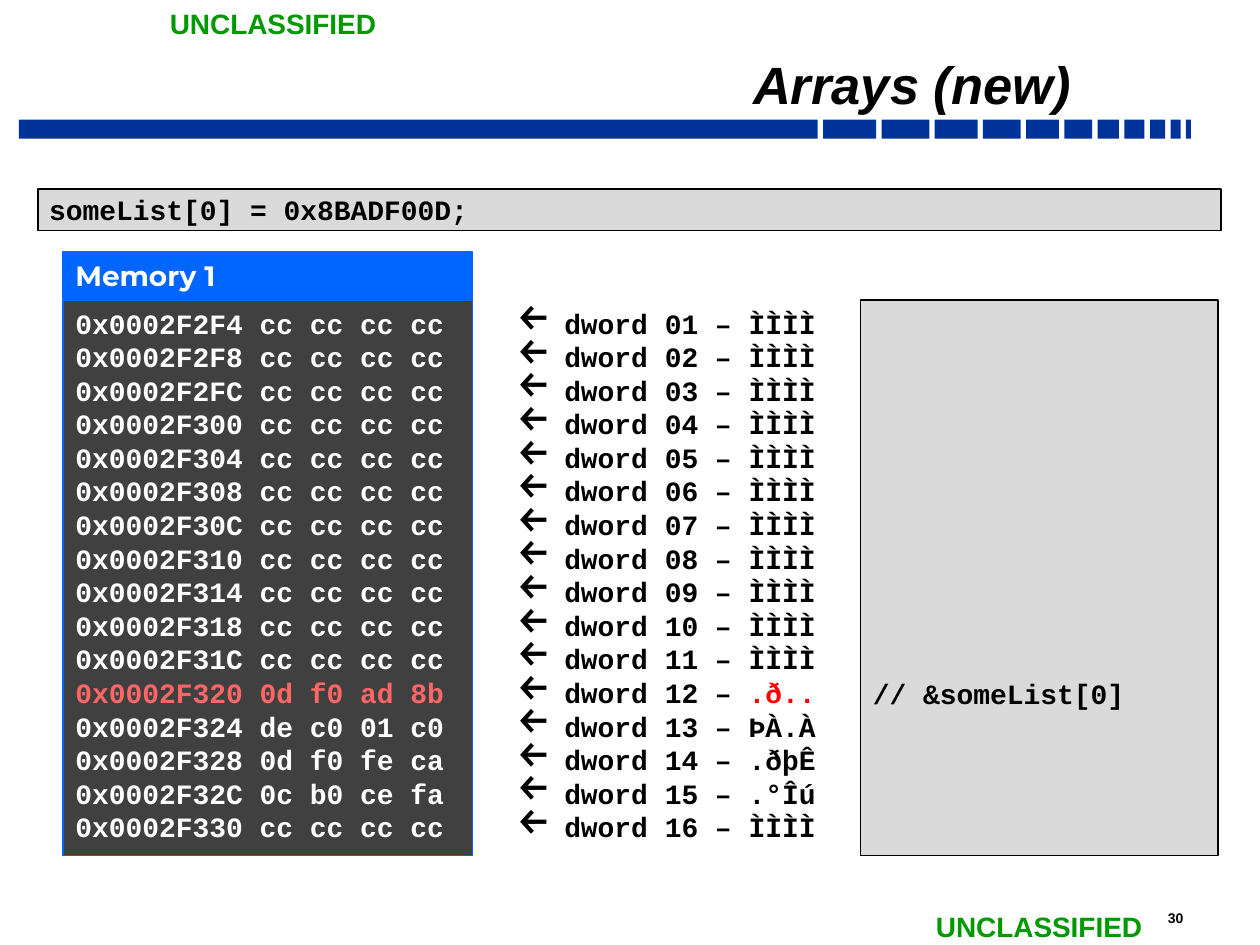
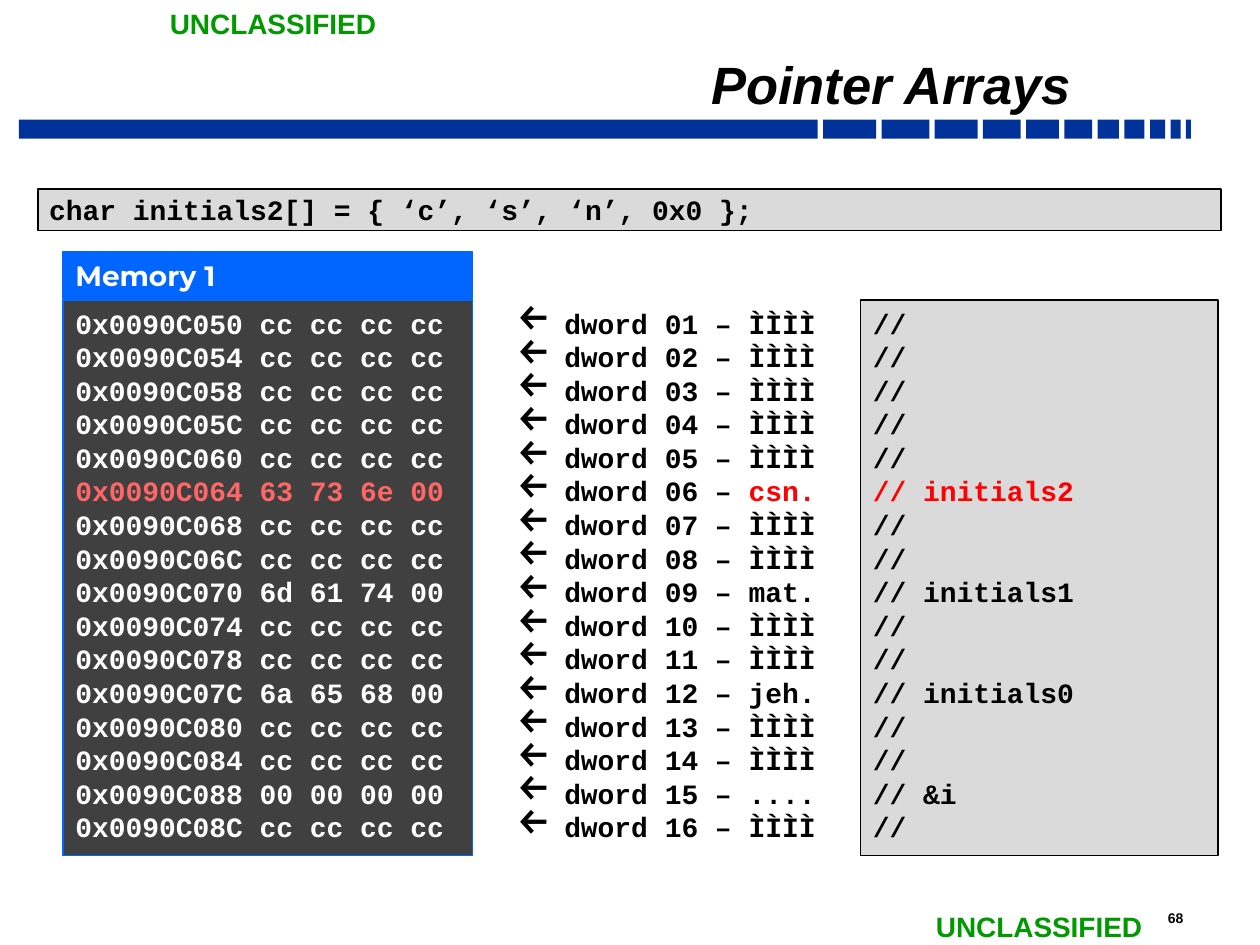
from lxml import etree
from pptx import Presentation
from pptx.dml.color import RGBColor
from pptx.enum.shapes import MSO_SHAPE
from pptx.enum.text import MSO_ANCHOR, PP_ALIGN
from pptx.oxml.ns import qn
from pptx.util import Inches, Pt

RECTANGLE = MSO_SHAPE.RECTANGLE
TOP, MIDDLE, BOTTOM = MSO_ANCHOR.TOP, MSO_ANCHOR.MIDDLE, MSO_ANCHOR.BOTTOM
LEFT, RIGHT = PP_ALIGN.LEFT, PP_ALIGN.RIGHT

COLORS = {
    "band": "003399",
    "header": "0066FF",
    "memory": "404040",
    "panel": "DADADA",
    "marking": "009900",
    "memory_change": "FF6666",
    "change": "FF0000",
    "black": "000000",
    "white": "FFFFFF",
}

deck = Presentation()
deck.slide_width, deck.slide_height = Inches(10), Inches(7.5)
COLUMN = deck.slide_width / 100
ROW = deck.slide_height / 75
MEMORY_LINE = 2.67
MEMORY_TOP, MEMORY_HEIGHT = 23.8, 44.1
BAND_WIDTHS = [63.4, 4.2, 3.8, 3.4, 3, 2.6, 2.2, 1.7, 1.6, 1.2, 0.8, 0.4]
BAND_GAP = 0.43
MARKINGS = [(12.5, 0), (73.3, 71.7)]
EMPTY_DWORD = ("cc cc cc cc", "ÌÌÌÌ")


def add_box(page, left, top, width, height, fill=None, line=None, line_width=1):
    area = [round(left * COLUMN), round(top * ROW), round(width * COLUMN), round(height * ROW)]
    if fill is None:
        return page.shapes.add_textbox(*area)
    box = page.shapes.add_shape(RECTANGLE, *area)
    box.shadow.inherit = False
    box.fill.solid()
    box.fill.fore_color.rgb = RGBColor.from_string(COLORS[fill])
    if line is None:
        box.line.fill.background()
    else:
        box.line.color.rgb = RGBColor.from_string(COLORS[line])
        box.line.width = Pt(line_width)
    return box


def write(box, lines, color="black", font="Courier New", size=16, anchor=TOP, align=LEFT, wrap=True):
    frame = box.text_frame
    frame.word_wrap = wrap
    frame.vertical_anchor = anchor
    frame.text = "\n".join(lines)
    for para in frame.paragraphs:
        para.alignment = align
        for span in para.runs:
            span.font.name = font
            span.font.size = Pt(size)
            span.font.bold = True
            span.font.color.rgb = RGBColor.from_string(COLORS[color])
    return frame


slides = [
    {
        "title": "Arrays (new)",
        "number": "30",
        "code": "someList[0] = 0x8BADF00D;",
        "start": 0x0002F2F4,
        "changed": 12,
        "dwords": {
            12: ("0d f0 ad 8b", ".ð.."),
            13: ("de c0 01 c0", "ÞÀ.À"),
            14: ("0d f0 fe ca", ".ðþÊ"),
            15: ("0c b0 ce fa", ".°Îú"),
        },
        "first_comment": 12,
        "comments": ["// &someList[0]"],
    },
    {
        "title": "Pointer Arrays",
        "number": "68",
        "code": "char initials2[] = { ‘c’, ‘s’, ‘n’, 0x0 };",
        "start": 0x0090C050,
        "changed": 6,
        "dwords": {
            6: ("63 73 6e 00", "csn."),
            9: ("6d 61 74 00", "mat."),
            12: ("6a 65 68 00", "jeh."),
            15: ("00 00 00 00", "...."),
        },
        "first_comment": 1,
        "comments": ["//"] * 5 + ["// initials2"] + ["//"] * 2 + ["// initials1"]
        + ["//"] * 2 + ["// initials0"] + ["//"] * 2 + ["// &i", "//"],
    },
]

for content in slides:
    page = deck.slides.add_slide(deck.slide_layouts[6])
    changed = content["changed"] - 1

    band_left = 1.5
    for band_width in BAND_WIDTHS:
        add_box(page, band_left, 9.5, band_width, 1.5, "band")
        band_left += band_width + BAND_GAP

    write(add_box(page, 91.7, 71.7, 5.4, 2.3), [content["number"]], font="Arial", size=8)
    for left, top in MARKINGS:
        marking = add_box(page, left, top, 18.6, 3.7)
        write(marking, ["UNCLASSIFIED"], "marking", "Arial", wrap=False)

    title = write(add_box(page, 16.7, 3.5, 69.2, 5.9), [content["title"]],
                  font="Arial", size=30, anchor=BOTTOM, align=RIGHT)
    title.margin_left = title.margin_right = Inches(0.09)
    title.margin_top = title.margin_bottom = Inches(0.04)
    title.paragraphs[0].line_spacing = 0.7
    title.paragraphs[0].runs[0].font.italic = True

    header = add_box(page, 5, 20, 32.5, 3.7, "header", "header", 0.75)
    write(header, ["Memory 1"], "white", "Montserrat", anchor=MIDDLE)

    dwords = [content["dwords"].get(number, EMPTY_DWORD) for number in range(1, 17)]
    memory_lines = [f"0x{content['start'] + 4 * index:08X} {data}"
                    for index, (data, symbols) in enumerate(dwords)]
    memory_box = add_box(page, 5, MEMORY_TOP, 32.5, MEMORY_HEIGHT, "memory", "header", 0.75)
    memory = write(memory_box, memory_lines, "white")
    changed_font = memory.paragraphs[changed].runs[0].font
    changed_font.color.rgb = RGBColor.from_string(COLORS["memory_change"])

    dword_lines = [f"dword {number:02d} – " + ("" if number == content["changed"] else symbols)
                   for number, (data, symbols) in enumerate(dwords, 1)]
    legend = write(add_box(page, 40, MEMORY_TOP, 56.8, MEMORY_HEIGHT), dword_lines)
    for para in legend.paragraphs:
        properties = para._p.get_or_add_pPr()
        properties.set("marL", str(Inches(0.38)))
        properties.set("indent", str(-Inches(0.38)))
        bullet_color = etree.SubElement(properties, qn("a:buClr"))
        etree.SubElement(bullet_color, qn("a:srgbClr"), val=COLORS["black"])
        etree.SubElement(properties, qn("a:buSzPct"), val="150000")
        etree.SubElement(properties, qn("a:buChar"), char="←")
    span = legend.paragraphs[changed].add_run()
    span.text = dwords[changed][1]
    span.font.name = "Courier New"
    span.font.size = Pt(16)
    span.font.bold = True
    span.font.color.rgb = RGBColor.from_string(COLORS["change"])

    code_box = add_box(page, 3, 15, 93.9, 3.3, "panel", "black")
    code = write(code_box, [content["code"]], anchor=MIDDLE)
    code.margin_left = code.margin_right = Inches(0.09)
    code.margin_top = code.margin_bottom = Inches(0.04)
    code.paragraphs[0].space_before = Pt(3.2)

    comment_box = add_box(page, 68.3, MEMORY_TOP, 28.4, MEMORY_HEIGHT, "panel", "black")
    comments = write(comment_box, content["comments"])
    skipped_lines = content["first_comment"] - 1
    comments.margin_top = round((0.5 + skipped_lines * MEMORY_LINE) * ROW)
    if skipped_lines == 0:
        changed_font = comments.paragraphs[changed].runs[0].font
        changed_font.color.rgb = RGBColor.from_string(COLORS["change"])

deck.save("out.pptx")
